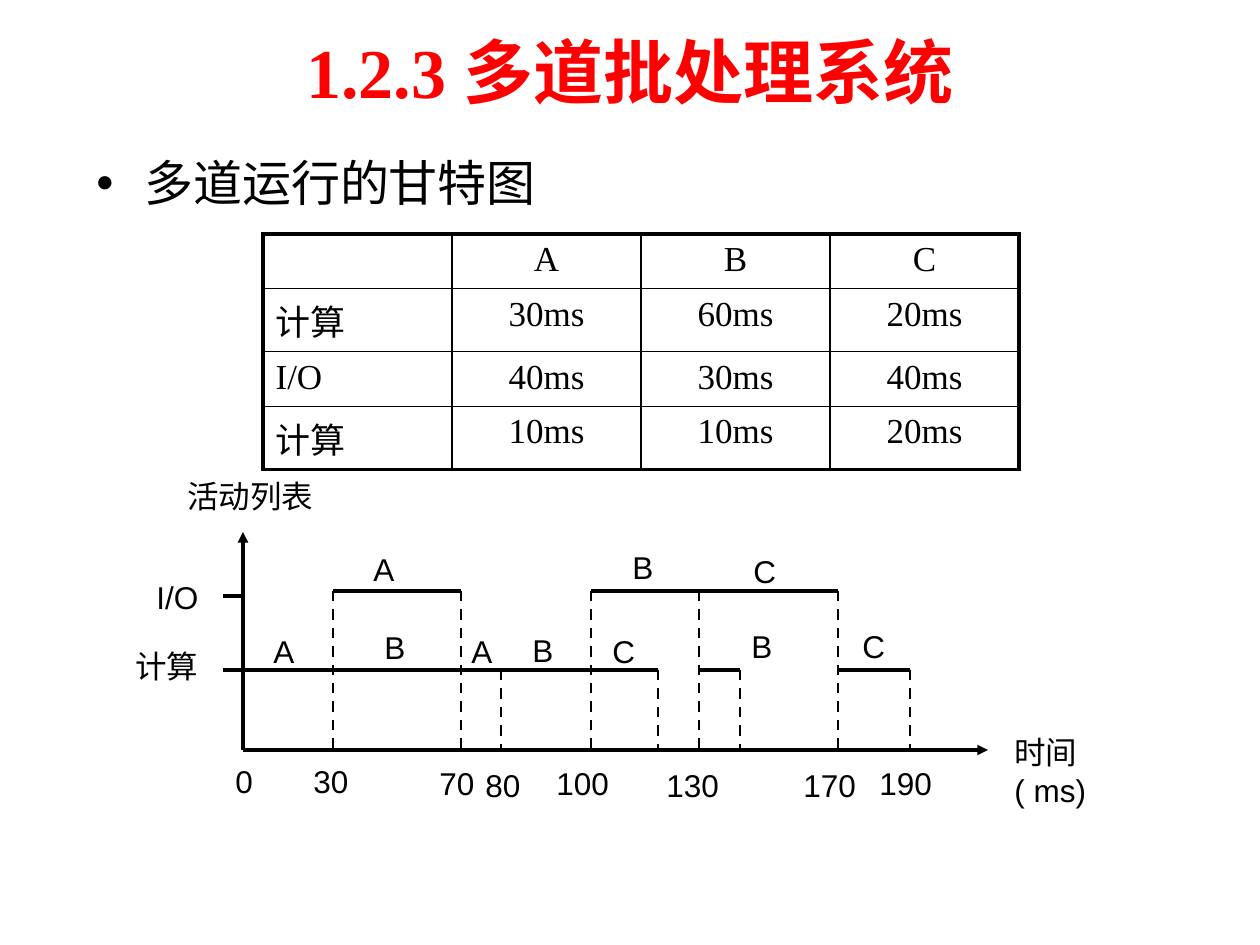
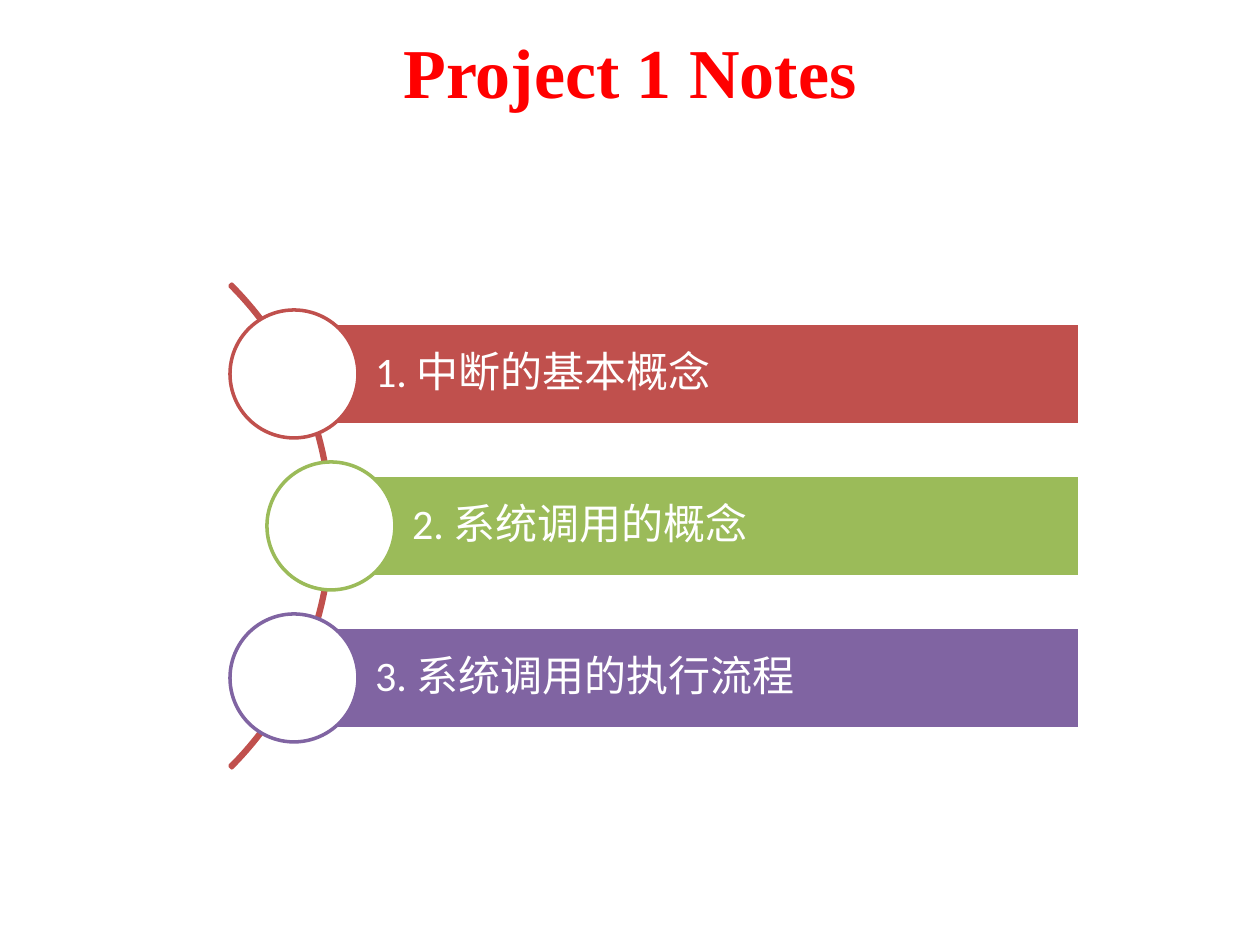
"""Build two operating-system slides: a multiprogramming Gantt chart and project notes."""
from dataclasses import dataclass

from lxml.etree import SubElement
from pptx import Presentation
from pptx.dml.color import RGBColor
from pptx.enum.dml import MSO_LINE
from pptx.enum.shapes import MSO_CONNECTOR, MSO_SHAPE
from pptx.enum.text import MSO_ANCHOR, PP_ALIGN
from pptx.oxml.ns import qn
from pptx.shapes.autoshape import Shape
from pptx.slide import Slide
from pptx.table import _Cell
from pptx.text.text import _Paragraph
from pptx.util import Emu, Pt

PIXELS_PER_INCH = 126
COLORS = {
    "title": "FF0000",
    "ink": "000000",
    "paper": "FFFFFF",
    "red": "C0504D",
    "green": "9BBB59",
    "purple": "8064A2",
}
SERIF, SANS, NOTES_FONT = "Times New Roman", "Arial", "Calibri"

TABLE_ROWS = [
    ["", "A", "B", "C"],
    ["计算", "30ms", "60ms", "20ms"],
    ["I/O", "40ms", "30ms", "40ms"],
    ["计算", "10ms", "10ms", "20ms"],
]
ROW_HEIGHTS = [52, 63, 52, 63]
COLUMN_WIDTH = 189

ORIGIN_X, TICK_X, AXIS_Y = 243, 223, 750
IO_Y, COMPUTE_Y = 591, 670
TIME_X = {30: 333, 70: 461, 80: 501, 100: 591, 120: 658,
          130: 699, 140: 740, 170: 838, 190: 910}
IO_TIMES = (30, 70, 100, 130, 170)


@dataclass(frozen=True)
class Label:
    """Chart label placed by its top left corner."""
    text: str
    left: int
    top: int
    width: int = 40


@dataclass(frozen=True)
class Segment:
    """Straight line of the chart."""
    x1: int
    y1: int
    x2: int
    y2: int
    dashed: bool = False
    arrow: bool = False


@dataclass(frozen=True)
class Note:
    """Numbered bar with its circle."""
    text: str
    color: str
    left: int


LABELS = [
    Label("活动列表", 175, 471, 154),
    Label("I/O", 144, 572, 79),
    Label("计算", 123, 641, 100),
    Label("时间( ms)", 1002, 727, 154),
    Label("A", 361, 544),
    Label("B", 620, 542),
    Label("C", 741, 546),
    Label("A", 261, 626),
    Label("B", 372, 622),
    Label("A", 459, 626),
    Label("B", 520, 625),
    Label("C", 600, 626),
    Label("B", 739, 621),
    Label("C", 850, 621),
    Label("0", 223, 756),
    Label("30", 301, 756, 69),
    Label("70", 427, 758, 69),
    Label("80", 473, 760, 69),
    Label("100", 544, 758, 89),
    Label("130", 654, 760, 89),
    Label("170", 791, 760, 89),
    Label("190", 867, 758, 89),
]

SEGMENTS = [
    Segment(ORIGIN_X, AXIS_Y, 988, AXIS_Y, arrow=True),
    Segment(ORIGIN_X, AXIS_Y, ORIGIN_X, 532, arrow=True),
    Segment(TICK_X, 596, ORIGIN_X, 596),
    Segment(TICK_X, COMPUTE_Y, ORIGIN_X, COMPUTE_Y),
    Segment(ORIGIN_X, COMPUTE_Y, TIME_X[70], COMPUTE_Y),
    *(Segment(TIME_X[start], COMPUTE_Y, TIME_X[end], COMPUTE_Y)
      for start, end in ((70, 120), (130, 140), (170, 190))),
    *(Segment(TIME_X[start], IO_Y, TIME_X[end], IO_Y)
      for start, end in ((30, 70), (100, 170))),
    *(Segment(x, IO_Y if time in IO_TIMES else COMPUTE_Y, x, AXIS_Y, dashed=True)
      for time, x in TIME_X.items()),
]

NOTES = [
    Note("1. 中断的基本概念", "red", 294),
    Note("2. 系统调用的概念", "green", 331),
    Note("3. 系统调用的执行流程", "purple", 294),
]
NOTES_MIDDLE, NOTES_STEP, NOTES_RIGHT = 526, 152, 1080
BAR_HEIGHT, CIRCLE_SIZE = 102, 128
ARC_SIZE, ARC_LEFT = 684, -352


def px(length: int) -> Emu:
    """Turn pixels into EMU."""
    return Emu(round(length * 914400 / PIXELS_PER_INCH))


def rgb(name: str) -> RGBColor:
    """Look up a named colour."""
    return RGBColor.from_string(COLORS[name])


def write(paragraph: _Paragraph, text: str, size: int, font: str,
          color: str = "ink", bold: bool = False) -> None:
    """Fill a paragraph with text in one style."""
    paragraph.text = text
    paragraph.font.size = Pt(size)
    paragraph.font.name = font
    paragraph.font.bold = bold
    paragraph.font.color.rgb = rgb(color)


def add_text(slide: Slide, left: int, top: int, width: int, height: int) -> Shape:
    """Add a wrapping text box."""
    box = slide.shapes.add_textbox(px(left), px(top), px(width), px(height))
    box.text_frame.word_wrap = True
    return box


def add_title(slide: Slide, text: str) -> None:
    """Add the centred red slide title."""
    frame = add_text(slide, 63, 6, 1134, 129).text_frame
    frame.vertical_anchor = MSO_ANCHOR.MIDDLE
    paragraph = frame.paragraphs[0]
    paragraph.alignment = PP_ALIGN.CENTER
    write(paragraph, text, 40, SERIF, "title", bold=True)


def add_bullet(slide: Slide, text: str) -> None:
    """Add the bulleted heading above the table."""
    paragraph = add_text(slide, 84, 135, 1131, 90).text_frame.paragraphs[0]
    write(paragraph, text, 28, SERIF)
    paragraph.line_spacing = 1.2
    properties = paragraph._p.get_or_add_pPr()
    properties.set("marL", str(px(48)))
    properties.set("indent", str(-px(48)))
    SubElement(properties, qn("a:buFont")).set("typeface", SANS)
    SubElement(properties, qn("a:buChar")).set("char", "•")


def set_borders(cell: _Cell, widths: dict[str, float]) -> None:
    """Draw the four cell borders with the given point widths."""
    properties = cell._tc.get_or_add_tcPr()
    for side, width in widths.items():
        line = SubElement(properties, qn(f"a:ln{side}"), w=str(Pt(width)))
        fill = SubElement(line, qn("a:solidFill"))
        SubElement(fill, qn("a:srgbClr"), val=COLORS["ink"])


def add_job_table(slide: Slide) -> None:
    """Add the job table with a heavy outer frame."""
    last_row, last_column = len(TABLE_ROWS) - 1, len(TABLE_ROWS[0]) - 1
    table = slide.shapes.add_table(
        last_row + 1, last_column + 1, px(263), px(234),
        px(COLUMN_WIDTH * (last_column + 1)), px(sum(ROW_HEIGHTS))).table
    table.first_row = table.horz_banding = False
    for column in table.columns:
        column.width = px(COLUMN_WIDTH)
    for row_index, values in enumerate(TABLE_ROWS):
        table.rows[row_index].height = px(ROW_HEIGHTS[row_index])
        for column_index, value in enumerate(values):
            cell = table.cell(row_index, column_index)
            outer = {"L": column_index == 0, "R": column_index == last_column,
                     "T": row_index == 0, "B": row_index == last_row}
            set_borders(cell, {side: 2.25 if edge else 1 for side, edge in outer.items()})
            cell.fill.background()
            paragraph = cell.text_frame.paragraphs[0]
            write(paragraph, value, 20, SERIF)
            if column_index:
                paragraph.alignment = PP_ALIGN.CENTER


def add_segment(slide: Slide, segment: Segment) -> None:
    """Draw one chart line."""
    connector = slide.shapes.add_connector(
        MSO_CONNECTOR.STRAIGHT, px(segment.x1), px(segment.y1),
        px(segment.x2), px(segment.y2))
    connector.line.color.rgb = rgb("ink")
    connector.line.width = Pt(1.5 if segment.dashed else 2)
    if segment.dashed:
        connector.line.dash_style = MSO_LINE.DASH
    if segment.arrow:
        SubElement(connector.line._get_or_add_ln(), qn("a:tailEnd"), type="triangle")
    SubElement(connector._element.spPr, qn("a:effectLst"))


def add_label(slide: Slide, label: Label) -> None:
    """Write one chart label."""
    box = add_text(slide, label.left, label.top, label.width, 50)
    write(box.text_frame.paragraphs[0], label.text, 18, SANS)


def add_figure(slide: Slide, kind: MSO_SHAPE, left: int, top: int, width: int,
               height: int, line: str, fill: str | None = None) -> Shape:
    """Add a preset shape with a two-point outline."""
    shape = slide.shapes.add_shape(kind, px(left), px(top), px(width), px(height))
    shape.shadow.inherit = False
    shape.line.color.rgb = rgb(line)
    shape.line.width = Pt(2)
    if fill:
        shape.fill.solid()
        shape.fill.fore_color.rgb = rgb(fill)
    else:
        shape.fill.background()
    return shape


def add_note(slide: Slide, note: Note, middle: int) -> None:
    """Add a bar and the circle on its left end."""
    bar = add_figure(slide, MSO_SHAPE.RECTANGLE, note.left, middle - BAR_HEIGHT // 2,
                     NOTES_RIGHT - note.left, BAR_HEIGHT, "paper", note.color)
    frame = bar.text_frame
    frame.word_wrap = True
    frame.vertical_anchor = MSO_ANCHOR.MIDDLE
    frame.margin_left = px(81)
    frame.margin_top = frame.margin_right = frame.margin_bottom = px(9)
    paragraph = frame.paragraphs[0]
    paragraph.alignment = PP_ALIGN.LEFT
    paragraph.line_spacing = 0.9
    write(paragraph, note.text, 24, NOTES_FONT, "paper")
    radius = CIRCLE_SIZE // 2
    add_figure(slide, MSO_SHAPE.OVAL, note.left - radius, middle - radius,
               CIRCLE_SIZE, CIRCLE_SIZE, note.color, "paper")


def build_gantt_slide(slide: Slide) -> None:
    """Lay out the job table and its Gantt chart."""
    add_title(slide, "1.2.3 多道批处理系统")
    add_bullet(slide, "多道运行的甘特图")
    add_job_table(slide)
    for segment in SEGMENTS:
        add_segment(slide, segment)
    for label in LABELS:
        add_label(slide, label)


def build_notes_slide(slide: Slide) -> None:
    """Lay out the numbered notes along an arc."""
    add_title(slide, "Project 1 Notes")
    arc = add_figure(slide, MSO_SHAPE.BLOCK_ARC, ARC_LEFT,
                     NOTES_MIDDLE - ARC_SIZE // 2, ARC_SIZE, ARC_SIZE, "red")
    for index, value in enumerate((189, 27, 0.4 / 100)):
        arc.adjustments[index] = value
    for index, note in enumerate(NOTES):
        add_note(slide, note, NOTES_MIDDLE + (index - 1) * NOTES_STEP)


def main() -> None:
    """Build and save the presentation."""
    presentation = Presentation()
    presentation.slide_width, presentation.slide_height = px(1260), px(945)
    for build in (build_gantt_slide, build_notes_slide):
        build(presentation.slides.add_slide(presentation.slide_layouts[6]))
    presentation.save("out.pptx")


if __name__ == "__main__":
    main()
